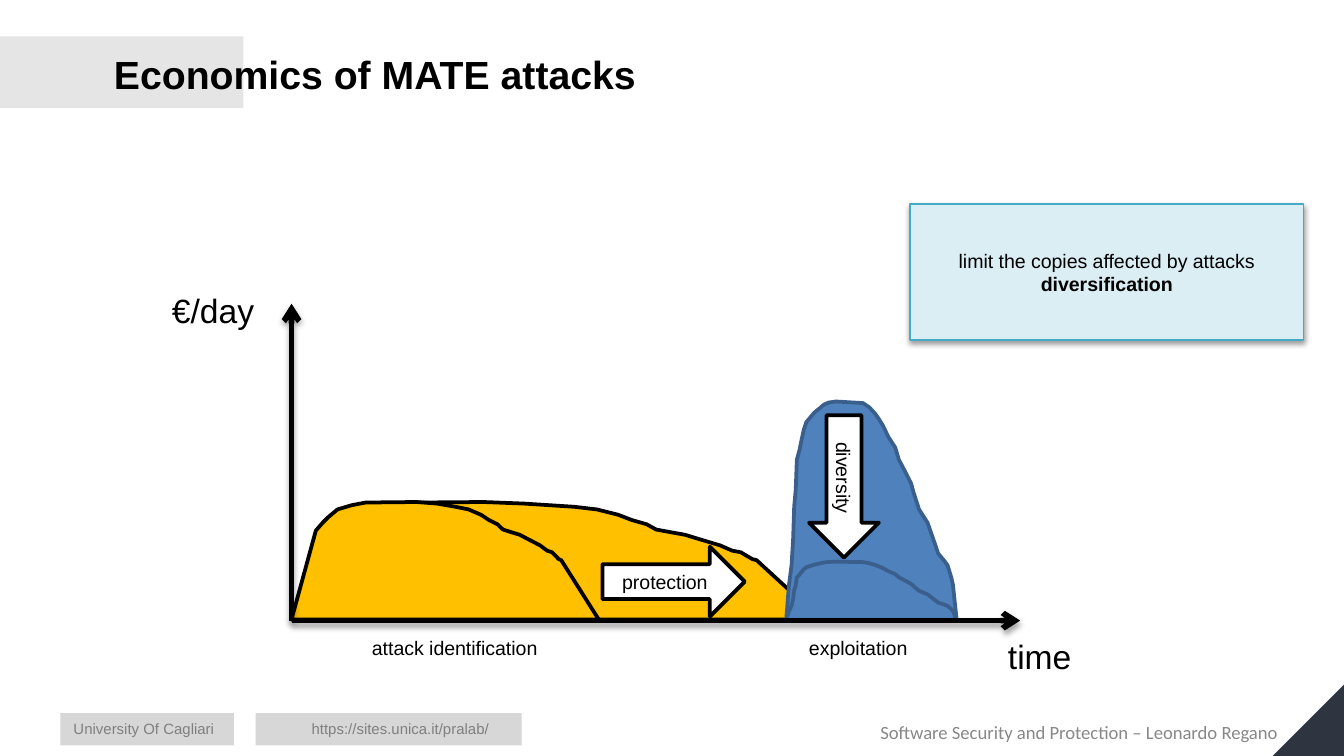
import dataclasses

import lxml.etree
import pptx
import pptx.dml.color
import pptx.enum.shapes
import pptx.enum.text
import pptx.oxml.ns
import pptx.util

Cm = pptx.util.Cm
Pt = pptx.util.Pt
Shape = pptx.enum.shapes.MSO_SHAPE
Align = pptx.enum.text.PP_ALIGN
Anchor = pptx.enum.text.MSO_ANCHOR
qn = pptx.oxml.ns.qn


@dataclasses.dataclass(frozen=True)
class Theme:
    font: str = "Arial"
    footer_font: str = "Calibri"
    black: str = "000000"
    white: str = "FFFFFF"
    band: str = "BDBDBD"
    footer_band: str = "595959"
    footer_text: str = "7F7F7F"
    course_text: str = "888888"
    corner: str = "2E3540"
    identification: str = "FFC000"
    exploitation: str = "4F81BD"
    exploitation_edge: str = "3A5F8C"
    note: str = "DBEEF4"
    note_edge: str = "46AAC5"
    title_size: float = 21
    axis_size: float = 18
    label_size: float = 10.5
    course_size: float = 10
    footer_size: float = 8


THEME = Theme()
ORIGIN_X, BASE_Y, AXIS_Y = 5.51, 11.71, 11.73
PROTECTED_SHOULDER = [
    (6.15, 10.03), (6.38, 9.83), (6.6, 9.68), (6.73, 9.63), (7.04, 9.58),
    (7.32, 9.53), (7.9, 9.5), (9.14, 9.49), (9.91, 9.52),
]
PLAIN_SHOULDER = [
    (5.97, 10.03), (6.1, 9.88), (6.2, 9.78), (6.38, 9.63), (6.48, 9.6),
    (6.65, 9.55), (6.91, 9.5), (7.87, 9.49), (8.26, 9.52),
]
IDENTIFICATION_TAIL = [
    (10.85, 9.58), (11.28, 9.63), (11.68, 9.73), (11.94, 9.83), (12.22, 9.91),
    (12.4, 10.01), (12.67, 10.06), (12.95, 10.11), (13.21, 10.19), (13.61, 10.31),
    (13.84, 10.41), (14, 10.44), (14.22, 10.57), (14.3, 10.59), (15.52, BASE_Y),
]
EXPLOITATION = [
    (14.86, BASE_Y), (14.91, 11.07), (14.96, 10.69), (14.99, 10.19), (15.01, 9.58),
    (15.04, 9.25), (15.06, 8.69), (15.11, 8.51), (15.14, 8.36), (15.19, 8.13),
    (15.24, 7.98), (15.29, 7.92), (15.39, 7.8), (15.49, 7.72), (15.57, 7.65),
    (15.66, 7.61), (15.8, 7.59), (16.31, 7.62), (16.43, 7.7), (16.54, 7.82),
    (16.61, 7.92), (16.69, 8.05), (16.79, 8.26), (16.92, 8.46), (16.99, 8.69),
    (17.12, 8.94), (17.22, 9.14), (17.27, 9.32), (17.37, 9.63), (17.53, 9.88),
    (17.6, 10.08), (17.68, 10.31), (17.73, 10.46), (17.86, 10.62), (17.91, 10.69),
    (17.98, 10.92), (18.01, 11.05), (18.08, BASE_Y),
]
TAIL_SCALE = 0.58
DIVERSITY_SCALE = 0.27


def rgb(color):
    return pptx.dml.color.RGBColor.from_string(color)


def set_opacity(color, percent):
    lxml.etree.SubElement(color, qn("a:alpha")).set("val", str(percent * 1000))


def paint(shape, fill, edge=None, edge_width=2, opacity=None):
    shape.shadow.inherit = False
    shape.fill.solid()
    shape.fill.fore_color.rgb = rgb(fill)
    if opacity:
        set_opacity(shape.element.spPr.find(qn("a:solidFill"))[0], opacity)
    if edge:
        shape.line.color.rgb = rgb(edge)
        shape.line.width = Pt(edge_width)
    else:
        shape.line.fill.background()


def add_shadow(shape, opacity, distance):
    properties = shape.element.spPr
    effects = properties.find(qn("a:effectLst"))
    if effects is None:
        effects = lxml.etree.SubElement(properties, qn("a:effectLst"))
    shadow = lxml.etree.SubElement(effects, qn("a:outerShdw"))
    shadow.set("blurRad", str(Pt(3.1)))
    shadow.set("dist", str(Pt(distance)))
    shadow.set("dir", "5400000")
    shadow.set("rotWithShape", "0")
    color = lxml.etree.SubElement(shadow, qn("a:srgbClr"))
    color.set("val", THEME.black)
    set_opacity(color, opacity)


def write(box, lines, size, color=THEME.black, align=Align.LEFT, font=THEME.font):
    frame = box.text_frame
    frame.text = "\n".join(lines)
    for para in frame.paragraphs:
        para.alignment = align
        para.font.name = font
        para.font.size = Pt(size)
        para.font.bold = False
        para.font.color.rgb = rgb(color)
    return frame


def add_label(page, text, left, top, width, height, size, wrap=True, **style):
    box = page.shapes.add_textbox(Cm(left), Cm(top), Cm(width), Cm(height))
    frame = write(box, [text], size, **style)
    frame.word_wrap = wrap
    return frame


def add_block(page, kind, left, top, width, height, fill, **style):
    shape = page.shapes.add_shape(kind, Cm(left), Cm(top), Cm(width), Cm(height))
    paint(shape, fill, **style)
    return shape


def add_area(page, points, fill, edge):
    corners = [(Cm(x), Cm(y)) for x, y in points]
    builder = page.shapes.build_freeform(*corners[0])
    builder.add_line_segments(corners[1:], close=True)
    paint(builder.convert_to_shape(), fill, edge)


def add_effect_arrow(page, text, left, top, rotation):
    arrow = add_block(page, Shape.UP_ARROW, left, top, 1.32, 2.69,
                      THEME.white, edge=THEME.black)
    arrow.rotation = rotation
    frame = write(arrow, [text], THEME.label_size, align=Align.CENTER)
    frame.vertical_anchor = Anchor.MIDDLE
    arrow.element.txBody.find(qn("a:bodyPr")).set("vert", "vert270")


def add_axis(page, end_x, end_y):
    axis = page.shapes.add_connector(
        pptx.enum.shapes.MSO_CONNECTOR.STRAIGHT,
        Cm(ORIGIN_X), Cm(AXIS_Y), Cm(end_x), Cm(end_y))
    axis.line.color.rgb = rgb(THEME.black)
    axis.line.width = Pt(3)
    line = axis.element.spPr.find(qn("a:ln"))
    lxml.etree.SubElement(line, qn("a:tailEnd")).set("type", "arrow")
    add_shadow(axis, 35, 1.8)


def add_title(page, text):
    title = page.shapes.title
    title.element.getparent().append(title.element)
    title.left, title.top, title.width, title.height = Cm(1.9), Cm(0.3), Cm(21.59), Cm(2.18)
    frame = write(title, [text], THEME.title_size)
    frame.paragraphs[0].font.bold = True
    frame.vertical_anchor = Anchor.MIDDLE
    frame.auto_size = pptx.enum.text.MSO_AUTO_SIZE.NONE


def add_frame(page):
    add_block(page, Shape.RECTANGLE, 0, 0.69, 4.6, 1.35, THEME.band, opacity=38)
    top, height = 13.48, 0.61
    for left, width, text_left, text in [
        (4.83, 5.03, 5.64, "https://sites.unica.it/pralab/"),
        (1.14, 3.28, 1.14, "University Of Cagliari"),
    ]:
        add_block(page, Shape.RECTANGLE, left, top, width, height,
                  THEME.footer_band, opacity=24)
        add_label(page, text, text_left, top, 4.22, height,
                  THEME.footer_size, color=THEME.footer_text)
    corner = add_block(page, Shape.RIGHT_TRIANGLE, 24.05, 12.94, 1.35, 1.35, THEME.corner)
    corner.rotation = 270
    course = add_label(page, "Software Security and Protection – Leonardo Regano",
                       14.33, 13.41, 10.06, 0.61, THEME.course_size,
                       color=THEME.course_text, align=Align.RIGHT, font=THEME.footer_font)
    course.margin_top = course.margin_bottom = Cm(0.25)


def add_curves(page):
    origin = [(ORIGIN_X, BASE_Y)]
    short_tail = [(ORIGIN_X + (x - ORIGIN_X) * TAIL_SCALE, y) for x, y in IDENTIFICATION_TAIL]
    low = [(x, AXIS_Y - (BASE_Y - y) * DIVERSITY_SCALE) for x, y in EXPLOITATION]
    yellow = (THEME.identification, THEME.black)
    blue = (THEME.exploitation, THEME.exploitation_edge)
    add_area(page, origin + PROTECTED_SHOULDER + IDENTIFICATION_TAIL, *yellow)
    add_area(page, origin + PLAIN_SHOULDER + short_tail, *yellow)
    add_area(page, EXPLOITATION, *blue)
    add_effect_arrow(page, "protection", 12.07, 9.65, 90)
    add_area(page, low, *blue)
    add_effect_arrow(page, "diversity", 15.29, 7.85, 180)


def add_note(page):
    note = add_block(page, Shape.RECTANGLE, 17.2, 3.86, 7.44, 2.57,
                     THEME.note, edge=THEME.note_edge, edge_width=0.75)
    add_shadow(note, 38, 1.6)
    frame = write(note, ["limit the copies affected by attacks", "diversification"],
                  THEME.label_size, align=Align.CENTER)
    frame.vertical_anchor = Anchor.MIDDLE
    frame.paragraphs[1].font.bold = True


def main():
    deck = pptx.Presentation()
    deck.slide_width, deck.slide_height = Cm(25.4), Cm(14.29)
    page = deck.slides.add_slide(deck.slide_layouts[5])
    add_frame(page)
    add_title(page, "Economics of MATE attacks")
    add_curves(page)
    for text, left, top, width, height, size, wrap in [
        ("€/day", 3, 5.36, 2.72, 1.02, THEME.axis_size, True),
        ("time", 18.8, 11.89, 2.24, 1.02, THEME.axis_size, True),
        ("attack identification", 6.78, 11.89, 3.71, 0.71, THEME.label_size, False),
        ("exploitation", 15.04, 11.89, 2.41, 0.71, THEME.label_size, False),
    ]:
        add_label(page, text, left, top, width, height, size, wrap)
    add_axis(page, ORIGIN_X, 5.74)
    add_axis(page, 19.28, AXIS_Y)
    add_note(page)
    deck.save("out.pptx")


if __name__ == "__main__":
    main()
